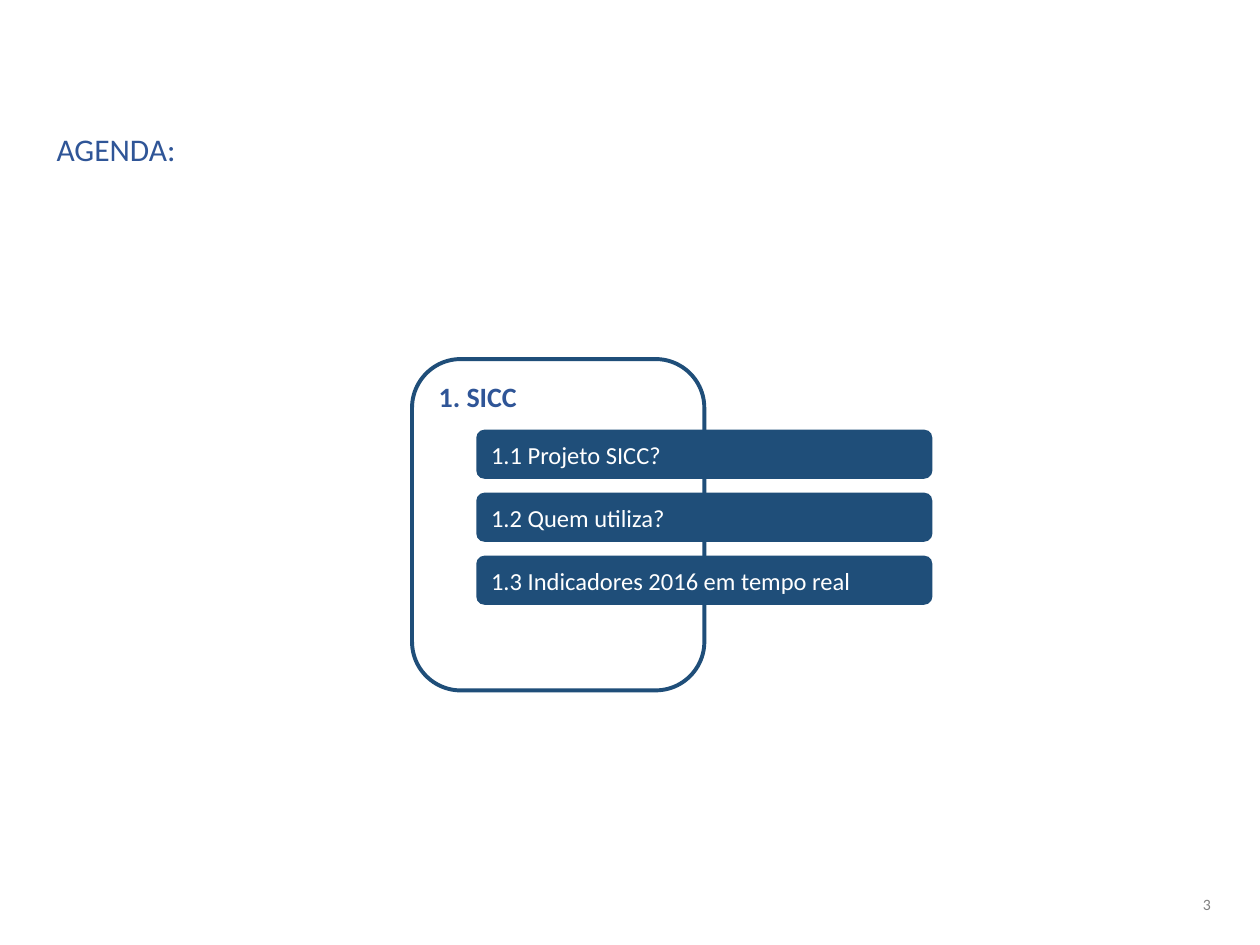
from dataclasses import dataclass

from pptx import Presentation
from pptx.dml.color import RGBColor
from pptx.enum.shapes import MSO_SHAPE
from pptx.enum.text import MSO_ANCHOR, PP_ALIGN
from pptx.util import Inches, Pt


@dataclass(frozen=True)
class Theme:
    font: str = "Calibri"
    navy: str = "1F4E79"
    blue: str = "2F5597"
    gray: str = "808080"
    white: str = "FFFFFF"
    title_size: int = 18
    heading_size: int = 16
    topic_size: int = 14
    number_size: int = 9


theme = Theme()


def write_text(shape, text, size, color, anchor=MSO_ANCHOR.MIDDLE, align=PP_ALIGN.LEFT, bold=False):
    text_frame = shape.text_frame
    text_frame.text = text
    text_frame.word_wrap = True
    text_frame.vertical_anchor = anchor
    paragraph = text_frame.paragraphs[0]
    paragraph.alignment = align
    font = paragraph.runs[0].font
    font.name = theme.font
    font.size = Pt(size)
    font.bold = bold
    font.color.rgb = RGBColor.from_string(color)


def add_rounded_box(left, top, width, height, fill):
    shape = slide.shapes.add_shape(
        MSO_SHAPE.ROUNDED_RECTANGLE, Inches(left), Inches(top), Inches(width), Inches(height)
    )
    shape.shadow.inherit = False
    shape.fill.solid()
    shape.fill.fore_color.rgb = RGBColor.from_string(fill)
    return shape


presentation = Presentation()
presentation.slide_width = Inches(10)
presentation.slide_height = Inches(7.5)
slide = presentation.slides.add_slide(presentation.slide_layouts[6])

slide_number = slide.shapes.add_textbox(Inches(9.14), Inches(6.98), Inches(0.51), Inches(0.39))
write_text(slide_number, "3", theme.number_size, theme.gray, align=PP_ALIGN.RIGHT)
slide_number.text_frame.margin_left = slide_number.text_frame.margin_right = Inches(0.04)
slide_number.text_frame.margin_top = slide_number.text_frame.margin_bottom = Inches(0.04)

title = slide.shapes.add_textbox(Inches(0.35), Inches(0.99), Inches(9.29), Inches(0.39))
write_text(title, "AGENDA:", theme.title_size, theme.blue)

section = add_rounded_box(3.27, 2.85, 2.32, 2.63, theme.white)
section.line.color.rgb = RGBColor.from_string(theme.navy)
section.line.width = Pt(2.25)
write_text(section, "1. SICC", theme.heading_size, theme.blue, anchor=MSO_ANCHOR.TOP, bold=True)

topics = ["1.1 Projeto SICC?", "1.2 Quem utiliza?", "1.3 Indicadores 2016 em tempo real"]
for index, topic in enumerate(topics):
    bar = add_rounded_box(3.78, 3.41 + index * 0.5, 3.62, 0.39, theme.navy)
    bar.line.fill.background()
    write_text(bar, topic, theme.topic_size, theme.white)

presentation.save("out.pptx")
